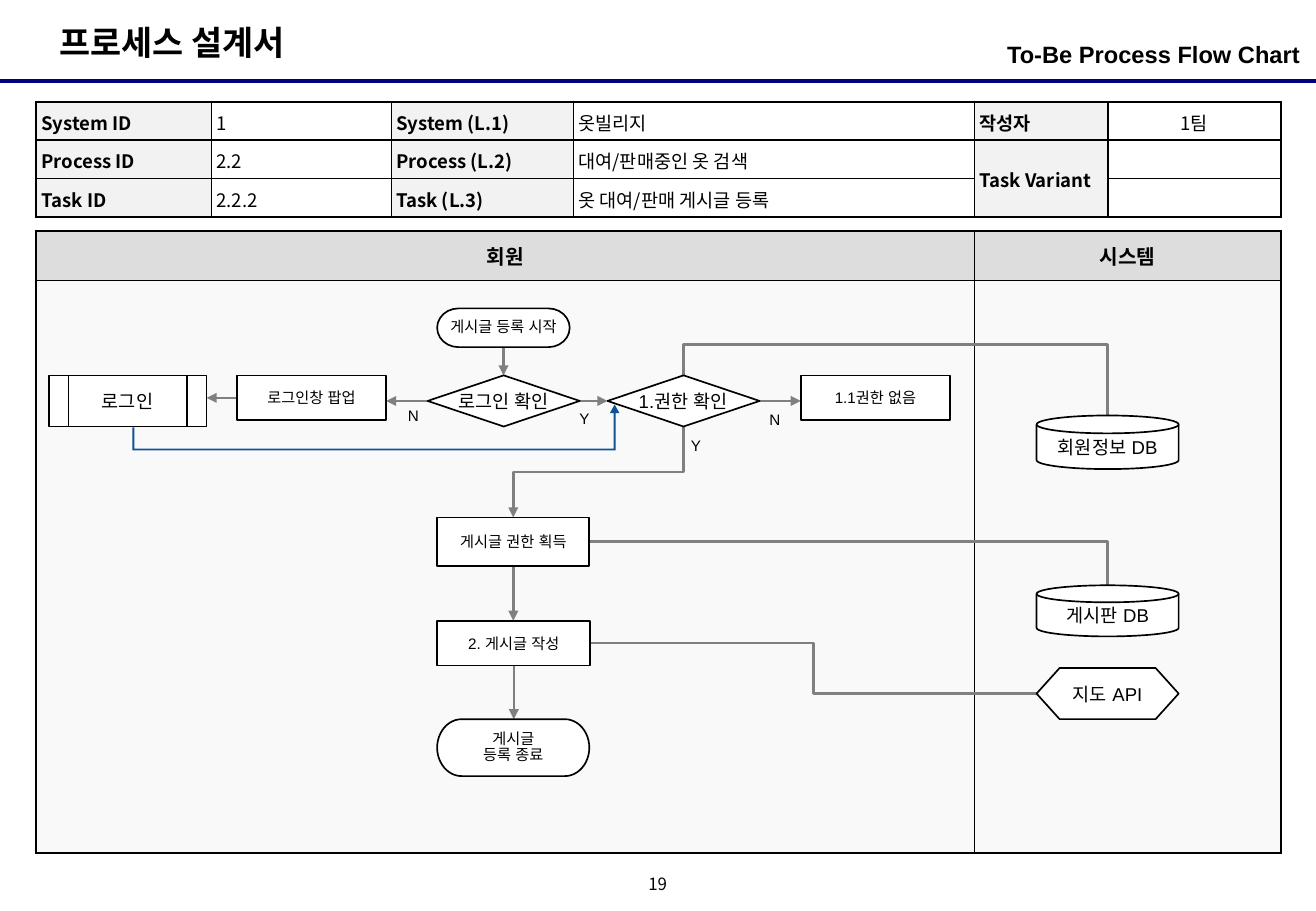
from dataclasses import dataclass

from lxml import etree
from pptx import Presentation
from pptx.dml.color import RGBColor
from pptx.enum.shapes import MSO_CONNECTOR, MSO_SHAPE
from pptx.enum.text import MSO_ANCHOR, MSO_AUTO_SIZE, PP_ALIGN
from pptx.oxml.ns import qn
from pptx.util import Cm, Pt

LEFT, CENTER, RIGHT = PP_ALIGN.LEFT, PP_ALIGN.CENTER, PP_ALIGN.RIGHT
TOP, MIDDLE = MSO_ANCHOR.TOP, MSO_ANCHOR.MIDDLE
STRAIGHT, ELBOW = MSO_CONNECTOR.STRAIGHT, MSO_CONNECTOR.ELBOW
RECT, HEXAGON = MSO_SHAPE.RECTANGLE, MSO_SHAPE.HEXAGON
TERMINATOR = MSO_SHAPE.FLOWCHART_TERMINATOR
DECISION = MSO_SHAPE.FLOWCHART_DECISION
SUBPROCESS = MSO_SHAPE.FLOWCHART_PREDEFINED_PROCESS
DATABASE = MSO_SHAPE.FLOWCHART_MAGNETIC_DISK


@dataclass(frozen=True)
class Theme:
    korean: str = "Noto Sans CJK KR"
    latin: str = "Arial"
    ink: str = "000000"
    paper: str = "FFFFFF"
    rule: str = "000080"
    arrow: str = "808080"
    login_route: str = "0B5394"
    key_fill: str = "F2F2F2"
    lane_head: str = "DDDDDD"
    lane_fill: str = "F9F9F9"
    title: int = 20
    subtitle: int = 14
    lane: int = 12
    body: int = 11
    page: int = 10
    small: int = 9


THEME = Theme()

# Content: lengths in centimetres
TITLE, SUBTITLE, PAGE = "프로세스 설계서", "To-Be Process Flow Chart", "19"
INFO = [
    ["System ID", "1", "System (L.1)", "옷빌리지", "작성자", "1팀"],
    ["Process ID", "2.2", "Process (L.2)", "대여/판매중인 옷 검색", "Task Variant", ""],
    ["Task ID", "2.2.2", "Task (L.3)", "옷 대여/판매 게시글 등록", "", ""],
]
INFO_COLS = [3.66, 3.76, 3.81, 8.38, 2.79, 3.61]
LANES = [["회원", "시스템"], ["", ""]]
LANE_COLS = [sum(INFO_COLS[:4]), sum(INFO_COLS[4:])]
TABLE_LEFT = 0.76

FLOW_X, CHECK_Y, STORE_X = 9.14, 7.85, 21.67
STEPS = {  # key: kind, text, left, top, width, height, type size
    "start": (TERMINATOR, "게시글 등록 시작", FLOW_X, 6.45, 2.77, 0.81, THEME.small),
    "granted": (RECT, "게시글 권한 획득", FLOW_X, 10.82, 3.18, 1.02, THEME.small),
    "write": (RECT, "2. 게시글 작성", FLOW_X, 12.98, 3.2, 0.94, THEME.small),
    "end": (TERMINATOR, "게시글\n등록 종료", FLOW_X, 15.04, 3.18, 1.19, THEME.small),
    "login": (SUBPROCESS, "로그인", 1.02, CHECK_Y, 3.3, 1.07, THEME.body),
    "popup": (RECT, "로그인창 팝업", 4.95, CHECK_Y, 3.12, 0.94, THEME.small),
    "login check": (DECISION, "로그인 확인", 8.94, CHECK_Y, 3.18, 1.07, THEME.body),
    "right check": (DECISION, "1.권한 확인", 12.7, CHECK_Y, 3.18, 1.07, THEME.body),
    "denied": (RECT, "1.1권한 없음", 16.74, CHECK_Y, 3.12, 0.94, THEME.small),
    "member db": (DATABASE, "회원정보 DB", STORE_X, 8.69, 2.97, 1.12, THEME.body),
    "board db": (DATABASE, "게시판 DB", STORE_X, 12.24, 2.97, 1.07, THEME.body),
    "map": (HEXAGON, "지도 API", STORE_X, 13.97, 2.97, 1.07, THEME.body),
}
STRAIGHT_LINKS = [
    ("start", "b", "login check", "t"), ("login check", "r", "right check", "l"),
    ("right check", "r", "denied", "l"), ("popup", "l", "login", "r"),
    ("login check", "l", "popup", "r"), ("granted", "b", "write", "t"),
    ("write", "b", "end", "t"),
]
BRANCH_LABELS = [("N", 8.64, 8.69), ("Y", 12.22, 8.76), ("Y", 14.55, 9.32), ("N", 16.2, 8.78)]


def rgb(color):
    return RGBColor.from_string(color)


def write(frame, text, size=THEME.body, font=THEME.latin, bold=False, align=CENTER,
          spacing=1.0):
    for number, line in enumerate(text.split("\n")):
        paragraph = frame.add_paragraph() if number else frame.paragraphs[0]
        props = paragraph._p.get_or_add_pPr()
        props.set("marL", "0")
        props.set("indent", "0")
        etree.SubElement(props, qn("a:buNone"))
        paragraph.alignment, paragraph.line_spacing = align, spacing
        paragraph.space_before = Pt(0)
        if not line:
            etree.SubElement(paragraph._p, qn("a:endParaRPr")).set("sz", str(size * 100))
            continue
        run = paragraph.add_run()
        run.text = line
        run.font.size, run.font.bold, run.font.name = Pt(size), bold, font
        run.font.color.rgb = rgb(THEME.ink)
        etree.SubElement(run._r.rPr, qn("a:ea")).set("typeface", font)


def frame_format(frame, anchor, inset_x, inset_y, wrap):
    frame.auto_size, frame.word_wrap = MSO_AUTO_SIZE.NONE, wrap
    frame.vertical_anchor = anchor
    frame.margin_left = frame.margin_right = Cm(inset_x)
    frame.margin_top = frame.margin_bottom = Cm(inset_y)


def place(box, *bounds):
    box.left, box.top, box.width, box.height = map(Cm, bounds)


def connect(kind, begin, end, color=THEME.arrow, width=1.5, arrow=False):
    link = slide.shapes.add_connector(kind, *map(Cm, (*begin, *end)))
    link.line.color.rgb, link.line.width = rgb(color), Pt(width)
    if arrow:
        etree.SubElement(link.line._get_or_add_ln(), qn("a:tailEnd")).set("type", "triangle")
    etree.SubElement(link._element.spPr, qn("a:effectLst"))
    return link


def vertical_elbow(begin, end, preset="bentConnector3", bend=None, arrow=False):
    """Leave begin vertically, then turn left towards end."""
    (x1, y1), (x2, y2) = begin, end
    run, drop = abs(y2 - y1), abs(x2 - x1)
    left, top = (x1 + x2 - run) / 2, (y1 + y2 - drop) / 2
    link = connect(ELBOW, (left, top), (left + run, top + drop), arrow=arrow)
    xfrm = link._element.spPr.find(qn("a:xfrm"))
    xfrm.set("rot", str((90 if y2 > y1 else 270) * 60000))
    if y2 < y1:
        xfrm.set("flipV", "1")
    geometry = link._element.spPr.find(qn("a:prstGeom"))
    geometry.set("prst", preset)
    if bend is not None:
        guide = etree.SubElement(geometry.get_or_add_avLst(), qn("a:gd"))
        guide.set("name", "adj1")
        guide.set("fmla", f"val {round(abs(bend - y1) / run * 100000)}")


def port(step, side):
    _, _, x, y, w, h, _ = STEPS[step]
    return {"t": (x + w / 2, y), "b": (x + w / 2, y + h),
            "l": (x, y + h / 2), "r": (x + w, y + h / 2)}[side]


def add_grid(top, columns, heights, inner):
    grid = slide.shapes.add_table(len(heights), len(columns), Cm(TABLE_LEFT), Cm(top),
                                  Cm(sum(columns)), Cm(sum(heights))).table
    grid.first_row = grid.horz_banding = False
    for column, width in zip(grid.columns, columns):
        column.width = Cm(width)
    for row, height in zip(grid.rows, heights):
        row.height = Cm(height)
    return grid, inner


def fill_grid(grid, inner, texts, fill_for, inset=None, **style):
    rows, cols = len(texts), len(texts[0])
    for r, c in ((r, c) for r in range(rows) for c in range(cols)):
        cell = grid.cell(r, c)
        last_row = r + (cell.span_height if cell.is_merge_origin else 1) == rows
        props = cell._tc.get_or_add_tcPr()
        for edge, outer in (("L", c == 0), ("R", c == cols - 1), ("T", r == 0), ("B", last_row)):
            border = etree.SubElement(props, qn(f"a:ln{edge}"))
            border.set("w", str(Pt(1.5 if outer else inner)))
            ink = etree.SubElement(border, qn("a:solidFill"))
            etree.SubElement(ink, qn("a:srgbClr")).set("val", THEME.ink)
        cell.fill.solid()
        cell.fill.fore_color.rgb = rgb(fill_for(r, c))
        cell.vertical_anchor = MIDDLE
        if inset is not None:
            cell.margin_left = cell.margin_right = Cm(0.1)
            cell.margin_top = cell.margin_bottom = Cm(inset)
        options = {key: value(r, c) if callable(value) else value for key, value in style.items()}
        write(cell.text_frame, texts[r][c], font=THEME.korean, **options)


prs = Presentation()
prs.slide_width, prs.slide_height = Cm(27.51), Cm(19.05)
slide = prs.slides.add_slide(prs.slide_layouts[1])

# Heading
heading, subheading = slide.shapes.title, slide.placeholders[1]
place(heading, 0.99, 0.33, 5.74, 1.12)
frame_format(heading.text_frame, TOP, 0.25, 0.13, False)
write(heading.text_frame, TITLE, THEME.title, THEME.korean, bold=True, align=LEFT)
place(subheading, 18.77, 0.71, 8.41, 0.99)
frame_format(subheading.text_frame, TOP, 0, 0.13, True)
write(subheading.text_frame, SUBTITLE, THEME.subtitle, bold=True, align=RIGHT)
connect(STRAIGHT, (0, 1.7), (27.51, 1.7), THEME.rule, 2.25)

# Lanes and process information
lanes, lane_line = add_grid(4.83, LANE_COLS, [1.04, 11.96], 0.75)
fill_grid(lanes, lane_line, LANES, lambda r, c: THEME.lane_fill if r else THEME.lane_head,
          size=THEME.lane, bold=True)
info, info_line = add_grid(2.13, INFO_COLS, [0.8] * 3, 1)
info.cell(1, 4).merge(info.cell(2, 4))
fill_grid(info, info_line, INFO, lambda r, c: THEME.paper if c % 2 else THEME.key_fill,
          inset=0.09, spacing=1.1, bold=lambda r, c: c % 2 == 0,
          align=lambda r, c: CENTER if c == 5 else LEFT)

# Links between steps
for source, out_side, target, in_side in STRAIGHT_LINKS:
    begin, end = port(source, out_side), port(target, in_side)
    end = (begin[0], end[1]) if out_side in "tb" else (end[0], begin[1])
    connect(STRAIGHT, begin, end, arrow=True)
vertical_elbow(port("right check", "b"), port("granted", "t"), arrow=True)
vertical_elbow(port("member db", "t"), port("right check", "t"), bend=7.21)
vertical_elbow(port("board db", "t"), port("granted", "r"), "bentConnector2")
connect(ELBOW, port("write", "r"), port("map", "l"))

# Route from login back to the permission check
x1, x2, floor, half = 2.79, 12.85, 9.4, 0.02
tip, neck, wing = 8.46, 8.64, 0.1
outline = [(x2 + wing, neck), (x2 + half, neck), (x2 + half, floor + half),
           (x1 - half, floor + half), (x1 - half, 8.94), (x1 + half, 8.94),
           (x1 + half, floor - half), (x2 - half, floor - half), (x2 - half, neck),
           (x2 - wing, neck)]
pen = slide.shapes.build_freeform(Cm(x2), Cm(tip))
pen.add_line_segments([(Cm(x), Cm(y)) for x, y in outline], close=True)
login_route = pen.convert_to_shape()
login_route.shadow.inherit = False
login_route.fill.solid()
login_route.fill.fore_color.rgb = rgb(THEME.login_route)
login_route.line.fill.background()

# Steps
for kind, text, x, y, w, h, size in STEPS.values():
    step = slide.shapes.add_shape(kind, *map(Cm, (x, y, w, h)))
    step.shadow.inherit = False
    step.fill.solid()
    step.fill.fore_color.rgb = rgb(THEME.paper)
    step.line.color.rgb, step.line.width = rgb(THEME.ink), Pt(1)
    if kind == HEXAGON:
        step.adjustments[0] = 0.45
    store = kind in (DATABASE, HEXAGON)
    frame_format(step.text_frame, MIDDLE, 0.05, 0.1 if store else 0, size == THEME.small)
    write(step.text_frame, text, size, spacing=0.9 if kind == TERMINATOR else 1.0)

# Branch labels and page number, placed by their centres
captions = [(*label, THEME.small, THEME.latin) for label in BRANCH_LABELS]
for text, x, y, size, font in captions + [(PAGE, 13.75, 18.53, THEME.page, THEME.korean)]:
    caption = slide.shapes.add_textbox(*map(Cm, (x - 0.4, y - 0.3, 0.8, 0.6)))
    frame_format(caption.text_frame, MIDDLE, 0, 0, True)
    write(caption.text_frame, text, size, font, spacing=0.8 if text == PAGE else 1.0)

prs.save("out.pptx")
